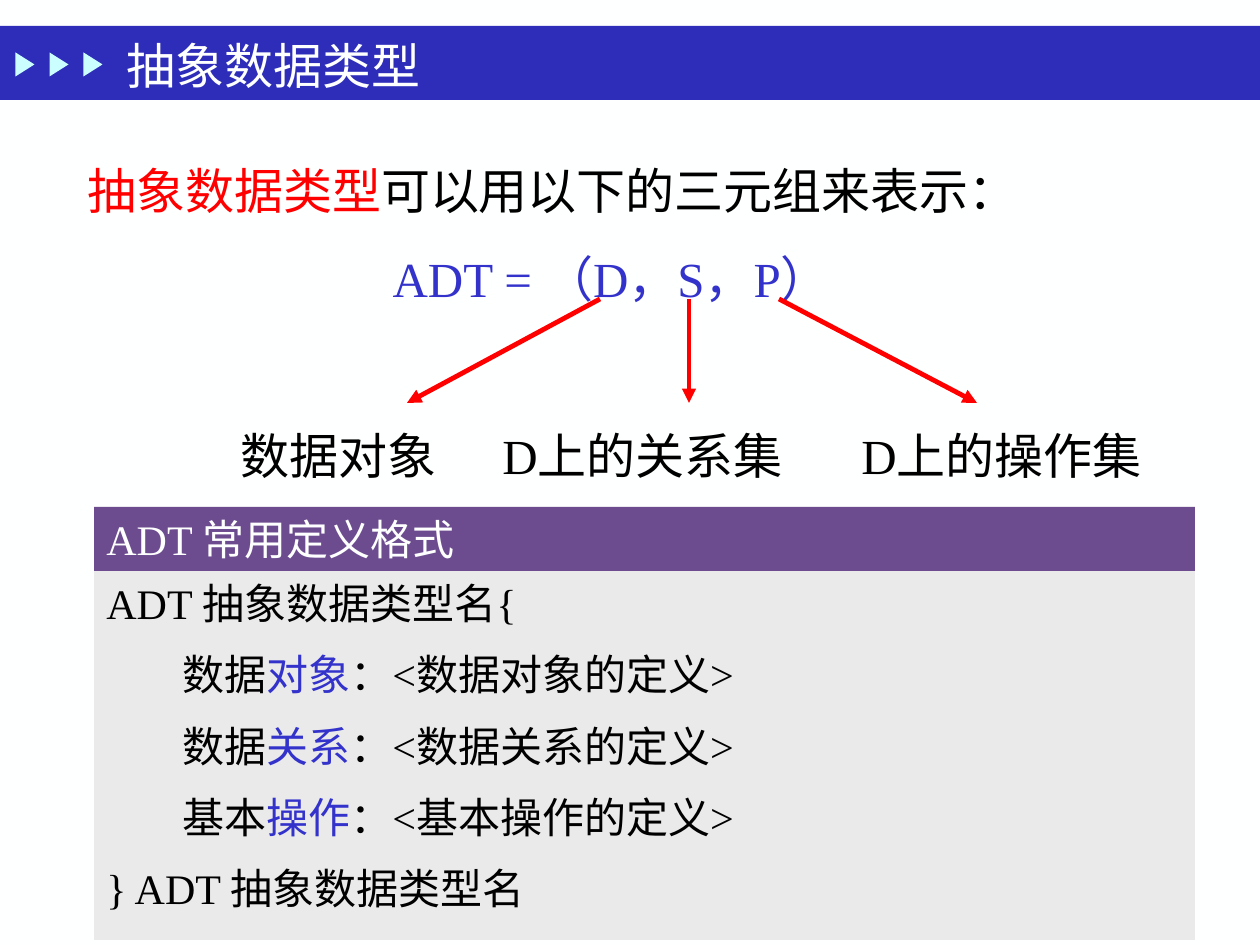
import pptx
import pptx.util
import pptx.dml.color
import pptx.enum.shapes
import pptx.enum.text
import pptx.oxml
import pptx.oxml.ns

RGBColor = pptx.dml.color.RGBColor
SHAPES = pptx.enum.shapes.MSO_SHAPE
ANCHOR = pptx.enum.text.MSO_ANCHOR

WHITE = RGBColor(0xFE, 0xFF, 0xFF)
BLACK = RGBColor(0x00, 0x00, 0x00)
RED = RGBColor(0xFF, 0x00, 0x00)
BLUE = RGBColor(0x33, 0x33, 0xCC)
BANNER = RGBColor(0x2D, 0x2D, 0xB9)
PALE_CYAN = RGBColor(0xCB, 0xFF, 0xFF)
GREY = RGBColor(0xEA, 0xEA, 0xEA)
PURPLE = RGBColor(0x6C, 0x4C, 0x8F)

PX_PER_INCH = 126


def px(length):
    return pptx.util.Emu(round(length * 914400 / PX_PER_INCH))


def element(tag, **attributes):
    node = pptx.oxml.parse_xml(f"<{tag} {pptx.oxml.ns.nsdecls('a')}/>")
    for name, value in attributes.items():
        node.set(name, str(value))
    return node


def add_span(para, text, size=24, color=BLACK, name="Times New Roman"):
    span = para.add_run()
    span.text = text
    span.font.size = pptx.util.Pt(size)
    span.font.color.rgb = color
    span.font.name = name


class SlideBuilder:
    """Holds the text style and the current slide."""

    def __init__(self, page):
        self.page = page
        self.shapes = page.shapes
        page.background.fill.solid()
        page.background.fill.fore_color.rgb = WHITE

    def block(self, left, top, width, height, fill, kind=SHAPES.RECTANGLE, rotation=0):
        box = self.shapes.add_shape(kind, px(left), px(top), px(width), px(height))
        box.fill.solid()
        box.fill.fore_color.rgb = fill
        box.line.fill.background()
        box.shadow.inherit = False
        box.rotation = rotation
        return box

    def behind(self, box):
        self.shapes._spTree.insert(2, box._element)

    def place(self, box, left, top, width, height):
        box.left, box.top, box.width, box.height = map(px, (left, top, width, height))

    def label(self, left, top, width, height, text, size):
        box = self.shapes.add_textbox(px(left), px(top), px(width), px(height))
        self.lines(self.frame(box, ANCHOR.MIDDLE), [(0, 0, [(text, BLACK)])], size)

    def frame(self, box, anchor=ANCHOR.TOP):
        frame = box.text_frame
        frame.word_wrap = True
        frame.auto_size = pptx.enum.text.MSO_AUTO_SIZE.NONE
        frame.vertical_anchor = anchor
        return frame

    def lines(self, frame, rows, size, spacing=1.0):
        """Each row is (indent px, space before pt, spans)."""
        for number, (indent, before, spans) in enumerate(rows):
            para = frame.add_paragraph() if number else frame.paragraphs[0]
            properties = para._p.get_or_add_pPr()
            properties.set("marL", str(px(indent)))
            properties.set("indent", "0")
            properties.append(element("a:buNone"))
            para.alignment = pptx.enum.text.PP_ALIGN.LEFT
            para.line_spacing = spacing
            para.space_before = pptx.util.Pt(before)
            for text, color in spans:
                add_span(para, text, size=size, color=color)

    def arrow(self, start, end):
        line = self.shapes.add_connector(
            pptx.enum.shapes.MSO_CONNECTOR.STRAIGHT, *map(px, start + end))
        line.line.color.rgb = RED
        line.line.width = pptx.util.Pt(2.75)
        line.line._get_or_add_ln().append(element("a:tailEnd", type="triangle"))
        line._element.spPr.append(element("a:effectLst"))


def main():
    deck = pptx.Presentation()
    deck.slide_width, deck.slide_height = px(1260), px(945)
    slide = SlideBuilder(deck.slides.add_slide(deck.slide_layouts[1]))
    title, body = slide.page.placeholders

    # Title banner with three pointers
    slide.behind(slide.block(0, 26, 1260, 74, BANNER))
    for step in range(3):
        slide.block(13 + 34 * step, 55, 24, 19, PALE_CYAN,
                    kind=SHAPES.ISOSCELES_TRIANGLE, rotation=90)
    slide.place(title, 114, 26, 444, 78)
    slide.lines(slide.frame(title, ANCHOR.MIDDLE),
                [(0, 0, [("抽象数据类型", WHITE)])], size=28)

    # The triple
    slide.place(body, 75, 125, 1155, 190)
    slide.lines(slide.frame(body), [
        (0, 0, [("抽象数据类型", RED), ("可以用以下的三元组来表示：", BLACK)]),
        (305, 0, [("ADT = （D，S，P）", BLUE)]),
    ], size=28, spacing=1.5)

    # Names of its parts, each with an arrow from the triple
    parts = [
        ("数据对象", 228, 230, 600, 407),
        ("D上的关系集", 490, 340, 689, 689),
        ("D上的操作集", 849, 340, 779, 977),
    ]
    for text, left, width, start, end in parts:
        slide.label(left, 416, width, 78, text, size=28)
        slide.arrow((start, 299), (end, 403))

    # Definition format
    members = [("数据", "对象"), ("数据", "关系"), ("基本", "操作")]
    definition = slide.block(94, 571, 1101, 369, GREY)
    slide.lines(slide.frame(definition), [
        (0, 0, [("ADT 抽象数据类型名{", BLACK)]),
        *[(76, 12, [(kind, BLACK), (part, BLUE),
                    (f"：<{kind}{part}的定义>", BLACK)])
          for kind, part in members],
        (0, 12, [("} ADT 抽象数据类型名", BLACK)]),
    ], size=24)
    heading = slide.block(94, 507, 1101, 64, PURPLE)
    slide.lines(slide.frame(heading),
                [(0, 0, [("ADT 常用定义格式", WHITE)])], size=24)

    deck.save("out.pptx")


if __name__ == "__main__":
    main()
